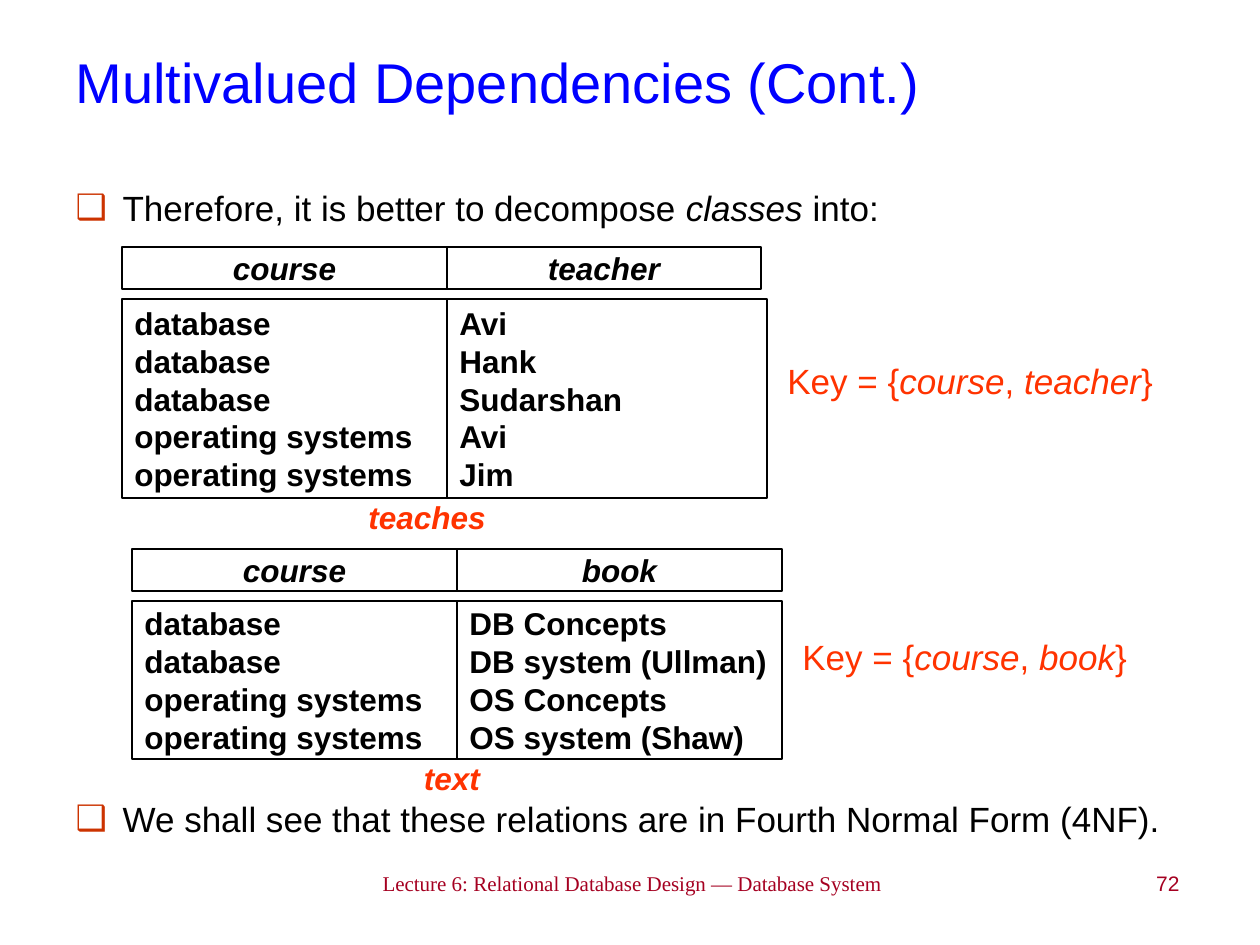
from dataclasses import dataclass
from lxml.etree import SubElement
from pptx import Presentation
from pptx.dml.color import RGBColor
from pptx.enum.shapes import MSO_SHAPE
from pptx.enum.text import MSO_ANCHOR, MSO_AUTO_SIZE, PP_ALIGN
from pptx.oxml.ns import qn
from pptx.util import Emu, Pt


@dataclass(frozen=True)
class Theme:
    sans: str = "Arial"
    serif: str = "Times New Roman"
    ink: str = "000000"
    paper: str = "FFFFFF"
    title: str = "0000FF"
    mark: str = "CC3300"
    accent: str = "FF3300"
    foot: str = "A50021"
    head: int = 32
    body: int = 20
    cell: int = 18
    small: int = 12


T = Theme()
LEFT, MID, RIGHT = PP_ALIGN.LEFT, PP_ALIGN.CENTER, PP_ALIGN.RIGHT
TOP, CENTRE = MSO_ANCHOR.TOP, MSO_ANCHOR.MIDDLE


def px(n):
    """Turn pixels into EMU, at 126 pixels to the inch."""
    return Emu(round(n * 914400 / 126))


def place(shape, box):
    shape.left, shape.top, shape.width, shape.height = map(px, box)


def write(shape, lines, size=T.cell, color=T.ink, font=T.sans, bold=False,
          italic=False, align=LEFT, anchor=TOP, wrap=False, gap=0):
    """Write one paragraph per line; *stars* enclose italic words."""
    frame = shape.text_frame
    frame.word_wrap = wrap
    frame.auto_size = MSO_AUTO_SIZE.NONE
    frame.vertical_anchor = anchor
    for i, line in enumerate(lines):
        para = frame.add_paragraph() if i else frame.paragraphs[0]
        para.alignment = align
        para.space_before = Pt(gap if i else 0)
        for j, part in enumerate(line.split("*")):
            if part:
                run = para.add_run()
                run.text = part
                run.font.name, run.font.size = font, Pt(size)
                run.font.bold = bold
                run.font.italic = italic or j % 2 == 1
                run.font.color.rgb = RGBColor.from_string(color)


def label(slide, box, text, **form):
    write(slide.shapes.add_textbox(*map(px, box)), [text], **form)


def cell(slide, box, lines, **form):
    shape = slide.shapes.add_shape(MSO_SHAPE.RECTANGLE, *map(px, box))
    shape.shadow.inherit = False
    shape.fill.solid()
    shape.fill.fore_color.rgb = RGBColor.from_string(T.paper)
    shape.line.color.rgb = RGBColor.from_string(T.ink)
    shape.line.width = Pt(0.75)
    write(shape, lines, bold=True, anchor=CENTRE, **form)


def title(slide, box, text):
    shape = slide.shapes.title
    place(shape, box)
    write(shape, [text], size=T.head, color=T.title, anchor=CENTRE, wrap=True)


def points(slide, box, lines, gap):
    shape = slide.placeholders[1]
    place(shape, box)
    write(shape, lines, size=T.body, wrap=True, gap=gap)
    for para in shape.text_frame.paragraphs:
        props = para._p.get_or_add_pPr()
        props.set("marL", str(px(47)))
        props.set("indent", str(-px(47)))
        tint = SubElement(props, qn("a:buClr"))
        SubElement(tint, qn("a:srgbClr"), val=T.mark)
        SubElement(props, qn("a:buChar"), char="❑")


def relation(slide, box, cols, name, mid, key, drop):
    """Draw a relation in box; cols hold name, head width, width and values."""
    left, top, _, height = box
    x, head, rows = left, 42, 52
    for field, wide, width, values in cols:
        cell(slide, (x, top, wide, head), [field], italic=True, align=MID)
        cell(slide, (x, top + rows, width, height - rows), values)
        x += width
    # Relation name below, key to the right
    label(slide, (left + mid - 71, top + height - 6, 142, 50), name,
          color=T.accent, bold=True, italic=True, align=MID, anchor=CENTRE)
    label(slide, (x + 8, top + drop, 391, 55), key,
          size=T.body, color=T.accent)


def footer(slide, box, text, page):
    left, top, width, height = box
    form = dict(size=T.small, color=T.foot, wrap=True)
    label(slide, (left, top, 683, height), text,
          font=T.serif, align=MID, **form)
    label(slide, (left + width - 179, top, 179, height), page,
          align=RIGHT, **form)


def main():
    deck = Presentation()
    deck.slide_width, deck.slide_height = px(1260), px(945)
    slide = deck.slides.add_slide(deck.slide_layouts[1])

    # Title and statements
    title(slide, (63, 3, 1134, 157), "Multivalued Dependencies (Cont.)")
    points(slide, (63, 180, 1139, 660), [
        "Therefore, it is better to decompose *classes *into:",
        "We shall see that these relations are in Fourth Normal Form (4NF).",
    ], gap=325)

    # Decomposed relations
    data, system = ["database"], ["operating systems"]
    relation(slide, (122, 247, 645, 251), [
        ("course", 325, 325, data * 3 + system * 2),
        ("teacher", 314, 320, ["Avi", "Hank", "Sudarshan", "Avi", "Jim"]),
    ], "teaches", mid=305, key="Key = {*course*, *teacher*}", drop=106)
    relation(slide, (132, 549, 650, 210), [
        ("course", 325, 325, data * 2 + system * 2),
        ("book", 325, 325, ["DB Concepts", "DB system (Ullman)",
                            "OS Concepts", "OS system (Shaw)"]),
    ], "text", mid=320, key="Key = {*course*, *book*}", drop=80)

    # Footer and page number
    footer(slide, (291, 864, 901, 56),
           "Lecture 6: Relational Database Design — Database System", "72")
    deck.save("out.pptx")


if __name__ == "__main__":
    main()
